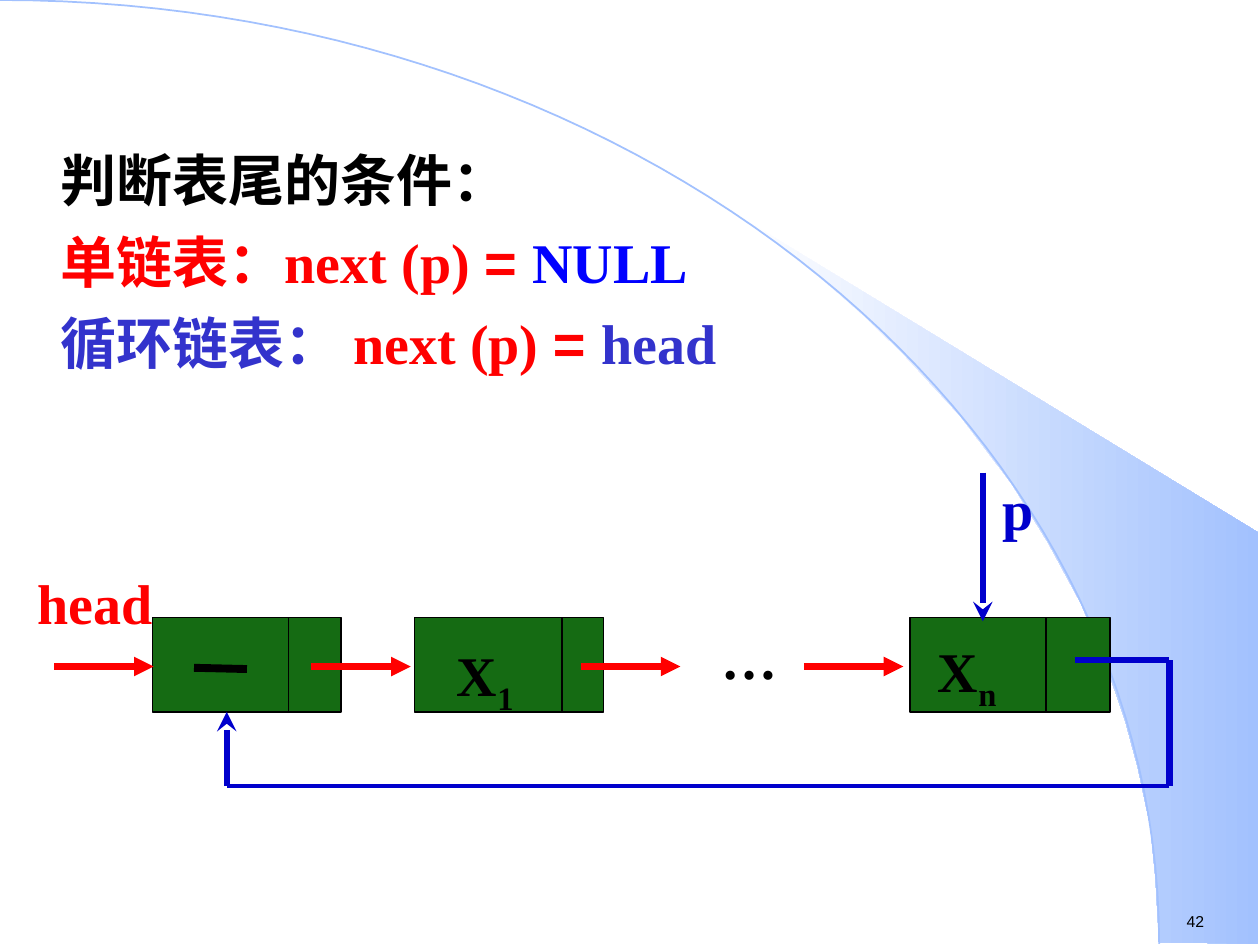
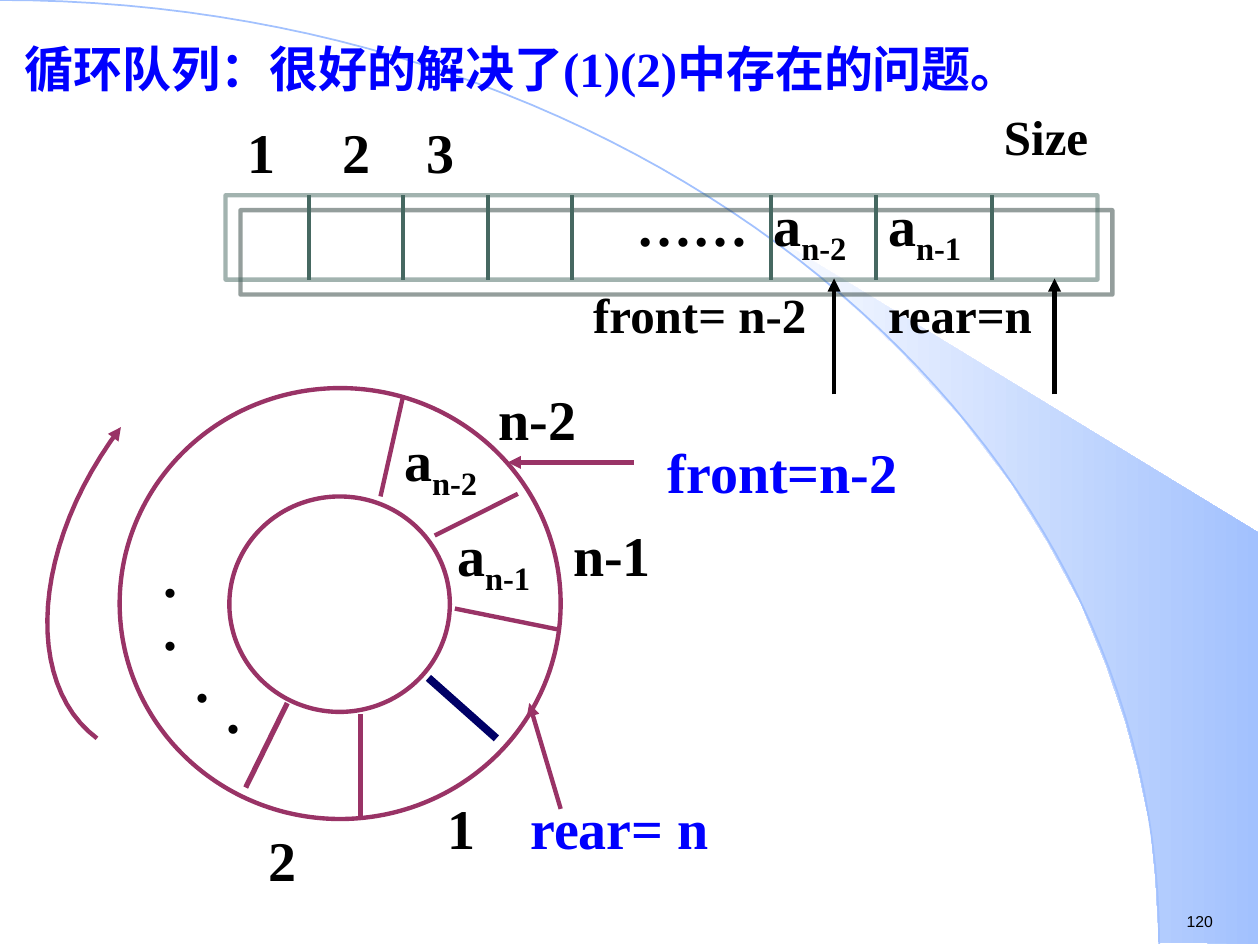
from lxml.etree import SubElement
from pptx import Presentation
from pptx.dml.color import RGBColor
from pptx.enum.shapes import MSO_CONNECTOR, MSO_SHAPE
from pptx.enum.text import PP_ALIGN
from pptx.oxml.ns import qn
from pptx.util import Inches, Pt

BLACK = RGBColor(0x00, 0x00, 0x00)
WHITE = RGBColor(0xFF, 0xFF, 0xFF)
RED = RGBColor(0xFF, 0x00, 0x00)
BLUE = RGBColor(0x00, 0x00, 0xFF)
INDIGO = RGBColor(0x33, 0x33, 0xCC)
LINK_BLUE = RGBColor(0x00, 0x00, 0xCC)
NAVY = RGBColor(0x00, 0x00, 0x66)
SKY = RGBColor(0xA2, 0xC1, 0xFE)
GREEN = RGBColor(0x15, 0x6B, 0x13)
TEAL = RGBColor(0x46, 0x68, 0x61)
PLUM = RGBColor(0x99, 0x33, 0x66)

SERIF = "Times New Roman"
SANS = "Arial"


# ---- Shared helpers ----
def add_text(slide, left, top, width, height, paragraphs, size=32, font=SERIF,
             color=BLACK, bold=True, align=None, line_spacing=None,
             space_before=0, margins=(0.1, 0.05, 0.1, 0.05)):
    """Paragraphs: a string, or a list of lists of (text, overrides)."""
    if isinstance(paragraphs, str):
        paragraphs = [[(paragraphs, {})]]
    box = slide.shapes.add_textbox(Inches(left), Inches(top), Inches(width), Inches(height))
    frame = box.text_frame
    frame.word_wrap = True
    (frame.margin_left, frame.margin_top,
     frame.margin_right, frame.margin_bottom) = map(Inches, margins)
    for index, runs in enumerate(paragraphs):
        paragraph = frame.add_paragraph() if index else frame.paragraphs[0]
        paragraph.alignment = align
        if line_spacing:
            paragraph.line_spacing = line_spacing
        if index:
            paragraph.space_before = Pt(space_before)
        for text, style in runs:
            run = paragraph.add_run()
            run.text = text
            run.font.size = Pt(size)
            run.font.bold = bold
            run.font.name = style.get("font", font)
            run.font.color.rgb = style.get("color", color)
            if style.get("subscript"):
                run._r.get_or_add_rPr().set("baseline", "-25000")


def with_subscript(letter, subscript):
    return [[(letter, {}), (subscript, {"subscript": True})]]


def set_line(shape, color, weight, head=None):
    shape.line.color.rgb = color
    shape.line.width = Pt(weight)
    if head:
        SubElement(shape._element.spPr.find(qn("a:ln")), qn("a:tailEnd"), type=head)


def add_line(slide, start, end, color, weight, head=None):
    line = slide.shapes.add_connector(
        MSO_CONNECTOR.STRAIGHT, *map(Inches, (*start, *end)))
    set_line(line, color, weight, head)
    SubElement(line._element.spPr, qn("a:effectLst"))


def add_outline(slide, preset, left, top, width, height, color, weight, fill=None):
    shape = slide.shapes.add_shape(preset, *map(Inches, (left, top, width, height)))
    shape.shadow.inherit = False
    if fill is None:
        shape.fill.background()
    else:
        shape.fill.solid()
        shape.fill.fore_color.rgb = fill
    set_line(shape, color, weight)
    return shape


def add_path(slide, points, close=False):
    points = [(Inches(x), Inches(y)) for x, y in points]
    builder = slide.shapes.build_freeform(*points[0])
    builder.add_line_segments(points[1:], close=close)
    shape = builder.convert_to_shape()
    shape.shadow.inherit = False
    shape.fill.background()
    return shape


def bezier(controls, steps=60):
    """Points along a cubic curve."""
    curve = []
    for step in range(steps + 1):
        t = step / steps
        weights = ((1 - t) ** 3, 3 * t * (1 - t) ** 2, 3 * t * t * (1 - t), t ** 3)
        curve.append(tuple(sum(w * point[axis] for w, point in zip(weights, controls))
                           for axis in (0, 1)))
    return curve


def placer(left, top):
    """Turn a place within a region into a place on the slide."""
    return lambda x, y: (left + x, top + y)


# ---- Background and page number ----
def add_backdrop(slide, page):
    beam_edge = [(9.2, 7.48), (9.99, 7.49), (9.99, 4.23), (5.89, 1.73), (6.24, 1.99),
                 (6.53, 2.22), (6.85, 2.5), (7.16, 2.8), (7.62, 3.3), (8.03, 3.84),
                 (8.32, 4.31), (8.58, 4.79), (8.78, 5.28), (8.93, 5.72), (9.03, 6.09),
                 (9.13, 6.56), (9.17, 6.96)]
    beam = add_path(slide, beam_edge, close=True)
    beam.fill.gradient()
    beam.fill.gradient_angle = 0
    for stop, color, position in zip(beam.fill.gradient_stops, (WHITE, SKY), (0, 1)):
        stop.color.rgb = color
        stop.position = position
    beam.line.fill.background()

    arc = add_path(slide, bezier([(0, 0), (5.08, 0), (9.2, 3.35), (9.2, 7.49)]))
    set_line(arc, SKY, 1)
    add_text(slide, 9.32, 7.19, 0.68, 0.25, page, size=9, font=SANS, bold=False)


# ---- Linked list slide ----
def add_tail_conditions(slide, left, top):
    equals = ("= ", {"font": SANS, "color": RED})
    next_p = ("next (p) ", {"color": RED})
    add_text(slide, left, top, 9.49, 2.13, [
        [("判断表尾的条件：", {})],
        [("单链表：next (p) ", {"color": RED}), equals, ("NULL", {"color": BLUE})],
        [("循环链表： ", {"color": INDIGO}), next_p, equals, ("head", {"color": INDIGO})],
    ], space_before=8, margins=(0.21, 0.05, 0.1, 0.05))


def add_circular_list(slide, left, top):
    at = placer(left, top)
    node_top, node_height = 1.15, 0.75
    node_bottom = node_top + node_height

    # Nodes, each split into data and pointer
    for x, width, split in ((1.01, 1.5, 1.08), (3.09, 1.5, 1.17), (7.02, 1.59, 1.08)):
        add_outline(slide, MSO_SHAPE.RECTANGLE, *at(x, node_top), width, node_height,
                    BLACK, 1, fill=GREEN)
        add_line(slide, at(x + split, node_top), at(x + split, node_bottom), BLACK, 1)

    # Node contents
    add_line(slide, at(1.34, 1.55), at(1.76, 1.56), BLACK, 4.5)
    for x, y, width, index in ((3.31, 1.21, 0.68, "1"), (7.1, 1.18, 0.75, "n")):
        add_text(slide, *at(x, y), width, 0.73, with_subscript("X", index),
                 align=PP_ALIGN.CENTER, line_spacing=1.2, margins=(0, 0, 0, 0))
    add_text(slide, *at(5.43, node_top), 0.75, 0.64, "…")

    # Forward links
    for x in (0.23, 2.27, 4.41, 6.18):
        add_line(slide, at(x, 1.54), at(x + 0.79, 1.54), RED, 3.75, "triangle")

    # Link back from the last node to the first
    corners = [at(8.33, 1.49), at(9.08, 1.49), at(9.08, 2.49), at(1.6, 2.49),
               at(1.6, node_bottom)]
    styles = ((3.75, None), (3.75, None), (2.25, None), (3.75, "stealth"))
    for start, end, (weight, head) in zip(corners, corners[1:], styles):
        add_line(slide, start, end, LINK_BLUE, weight, head)

    # Named pointers
    add_text(slide, *at(0, 0.71), 1.75, 0.64, "head", color=RED)
    add_line(slide, at(7.6, 0), at(7.6, 1.18), LINK_BLUE, 3.75, "stealth")
    add_text(slide, *at(7.72, 0.12), 0.32, 0.51, "p", color=LINK_BLUE,
             align=PP_ALIGN.CENTER, line_spacing=0.8, margins=(0, 0, 0, 0.08))


# ---- Circular queue slide ----
def add_queue_array(slide, left, top):
    at = placer(left, top)
    row_top, row_height = 0.75, 0.67
    row_bottom = row_top + row_height

    # Half transparent frame with an offset shadow
    frame = add_outline(slide, MSO_SHAPE.RECTANGLE, *at(0, row_top), 6.92, row_height,
                        TEAL, 2.5)
    properties = frame._element.spPr
    line_color = properties.find(qn("a:ln")).find(".//" + qn("a:srgbClr"))
    SubElement(line_color, qn("a:alpha"), val="50000")
    shadow = SubElement(properties.find(qn("a:effectLst")), qn("a:outerShdw"),
                        dist=str(Pt(12.1)), dir="2700000", algn="ctr", rotWithShape="0")
    SubElement(shadow, qn("a:srgbClr"), val="2A3E3A")

    for x in (0.66, 1.41, 2.08, 2.75, 4.33, 5.16, 6.08):
        add_line(slide, at(x, row_top), at(x, row_bottom), TEAL, 2.25)

    # Cell numbers and contents
    for x, number in ((0.08, "1"), (0.83, "2"), (1.5, "3")):
        add_text(slide, *at(x, 0.08), 0.5, 0.64, number)
    add_text(slide, *at(6.08, 0), 1.5, 0.57, "Size", size=28)
    add_text(slide, *at(3.16, 0.66), 1.25, 0.64, "……")
    for x, index in ((4.25, "n-2"), (5.16, "n-1")):
        add_text(slide, *at(x, 0.66), 1, 0.71, with_subscript("a", index))

    # Front and rear
    for x, width, label, arrow_x in ((2.82, 1.93, "front= n-2", 4.83),
                                     (5.16, 1.35, "rear=n", 6.58)):
        add_text(slide, *at(x, 1.41), width, 0.57, label, size=28)
        add_line(slide, at(arrow_x, 2.33), at(arrow_x, 1.41), BLACK, 2.5, "triangle")


def add_queue_ring(slide, left, top):
    at = placer(left, top)

    # Ring and its spokes
    for x, y, width, height in ((0, 0, 3.5, 3.42), (0.87, 0.86, 1.75, 1.71)):
        add_outline(slide, MSO_SHAPE.OVAL, *at(x, y), width, height, PLUM, 2.5)
    for start, end, color, weight in (
            ((2.66, 1.75), (3.5, 1.92), PLUM, 2.5),
            ((2.5, 1.17), (3.16, 0.84), PLUM, 2.5),
            ((2.25, 0.06), (2.07, 0.86), PLUM, 2.5),
            ((1.91, 2.59), (1.91, 3.42), PLUM, 2.5),
            ((1.33, 2.5), (1, 3.17), PLUM, 3),
            ((2.45, 2.3), (2.99, 2.78), NAVY, 4.5)):
        add_line(slide, at(*start), at(*end), color, weight)

    # Cell contents and numbers
    for x, y, index in ((2.16, 0.25, "n-2"), (2.58, 1, "n-1")):
        add_text(slide, *at(x, y), 1, 0.71, with_subscript("a", index))
    for x, y, label in ((2.91, -0.08, "n-2"), (3.5, 1, "n-1"),
                        (2.5, 3.17, "1"), (1.08, 3.42, "2"),
                        (0.25, 1.17, "."), (0.25, 1.59, "."),
                        (0.5, 2, "."), (0.75, 2.25, ".")):
        add_text(slide, *at(x, y), 1, 0.64, label)

    # Front and rear
    for x, y, label, start, end in (
            (4.25, 0.34, "front=n-2", (4.08, 0.59), (3.08, 0.59)),
            (3.16, 3.17, "rear= n", (3.5, 3.34), (3.25, 2.5))):
        add_text(slide, *at(x, y), 2.5, 0.64, label, color=BLUE)
        add_line(slide, at(*start), at(*end), PLUM, 2.5, "triangle")

    # Direction of travel
    turn = [at(-0.18, 2.78), at(-0.77, 2.34), at(-0.69, 1.23), at(0.01, 0.31)]
    set_line(add_path(slide, bezier(turn, 24)), PLUM, 2.5, "triangle")


# ---- Slides ----
def build_linked_list_slide(slide):
    add_backdrop(slide, "42")
    add_tail_conditions(slide, 0.27, 1.11)
    add_circular_list(slide, 0.2, 3.75)


def build_queue_slide(slide):
    add_backdrop(slide, "120")
    add_queue_array(slide, 1.79, 0.8)
    add_text(slide, 0.1, 0.19, 9.5, 0.64, "循环队列：很好的解决了(1)(2)中存在的问题。",
             size=28, color=BLUE, line_spacing=1.15)
    add_queue_ring(slide, 0.95, 3.08)


def main():
    presentation = Presentation()
    presentation.slide_width = Inches(10)
    presentation.slide_height = Inches(7.5)
    blank = presentation.slide_layouts[6]
    for build in (build_linked_list_slide, build_queue_slide):
        build(presentation.slides.add_slide(blank))
    presentation.save("out.pptx")


if __name__ == "__main__":
    main()
